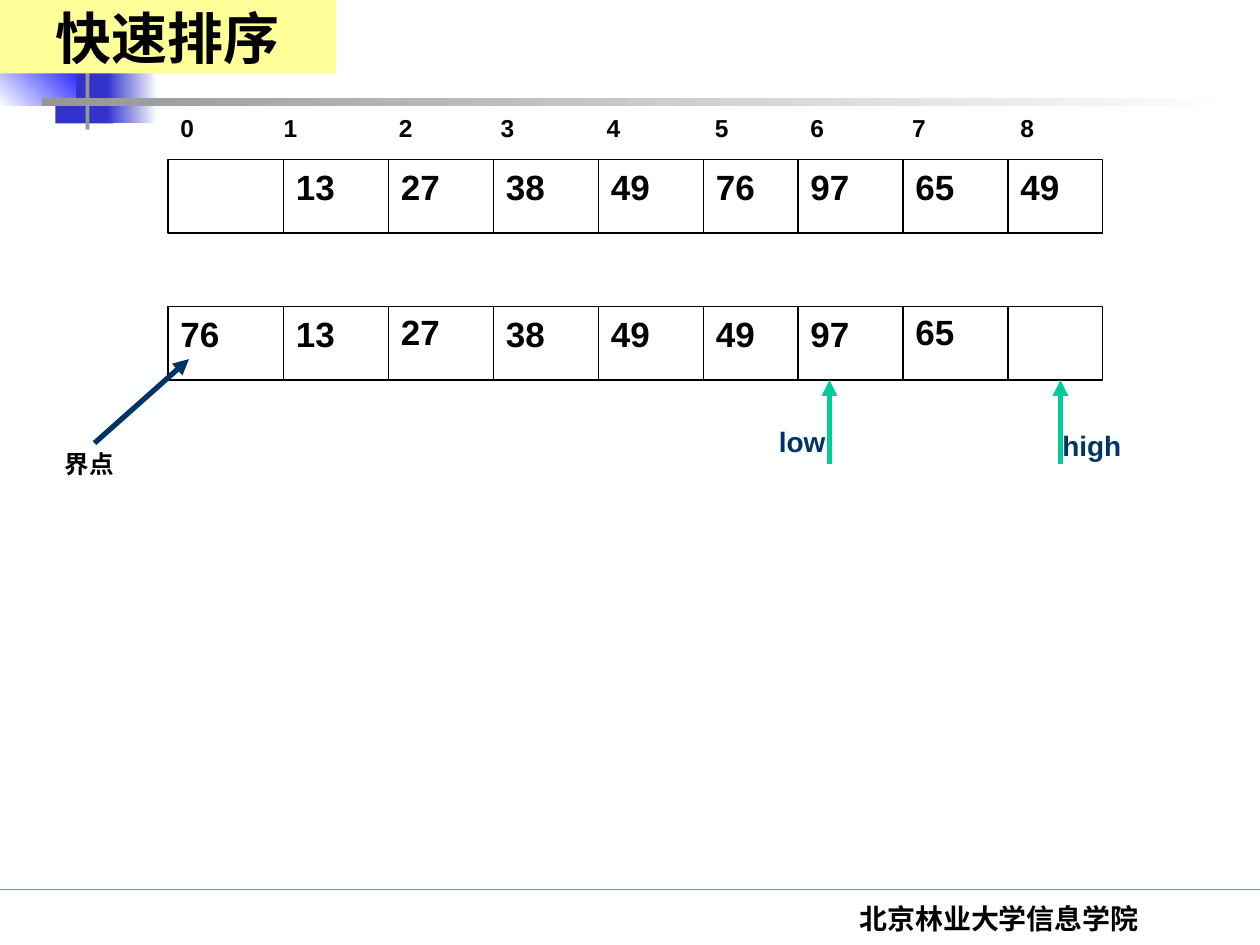
from dataclasses import dataclass
from itertools import pairwise
from typing import NamedTuple, Optional

from lxml.etree import SubElement
from pptx import Presentation
from pptx.dml.color import RGBColor
from pptx.enum.shapes import MSO_CONNECTOR as Connector, MSO_SHAPE as Preset
from pptx.enum.text import MSO_ANCHOR as Anchor, MSO_AUTO_SIZE as AutoSize, PP_ALIGN as Align
from pptx.oxml.ns import qn
from pptx.util import Inches, Pt

# The slide is a grid of 120 columns by 90 rows, twelve to the inch
COLUMNS, ROWS, PER_INCH = 120, 90, 12


@dataclass(frozen=True)
class Theme:
    paper: str = "FEFFFF"
    cell: str = "FFFFFF"
    ink: str = "000000"
    navy: str = "003366"
    indigo: str = "3333CC"
    blue: str = "0000FF"
    grey: str = "969696"
    green: str = "00CC99"
    yellow: str = "FFFF99"
    sans: str = "Arial"
    serif: str = "Times New Roman"
    title_size: int = 32
    key_size: int = 20
    label_size: int = 16
    index_size: int = 14
    thin: float = 0.75
    thick: float = 3


class Box(NamedTuple):
    left: float
    top: float
    width: float
    height: float


class Block(NamedTuple):
    box: Box
    color: str
    fade_to: Optional[str] = None
    angle: float = 0


class KeyRow(NamedTuple):
    top: float
    keys: list
    raised: tuple = ()  # columns whose key sits slightly higher


class Pointer(NamedTuple):
    name: str
    column: float
    label: Box


THEME = Theme()


def grid(*units: float) -> list:
    return [Inches(unit / PER_INCH) for unit in units]


def rgb(color: str) -> RGBColor:
    return RGBColor.from_string(color)


def write(frame, text: str, *, size: float, color: str = THEME.ink, font: str = THEME.sans,
          align=Align.LEFT, anchor=Anchor.TOP, fit=AutoSize.NONE, tabs: tuple = ()) -> None:
    frame.word_wrap = True
    frame.auto_size = fit
    frame.vertical_anchor = anchor
    frame.margin_left = frame.margin_right = Inches(0.1)
    frame.margin_top = frame.margin_bottom = Inches(0.05)
    paragraph = frame.paragraphs[0]
    paragraph.alignment = align
    if tabs:
        stops = SubElement(paragraph._p.get_or_add_pPr(), qn("a:tabLst"))
        for stop in grid(*tabs):
            SubElement(stops, qn("a:tab"), pos=str(stop), algn="l")
    run = paragraph.add_run()
    run.text = text
    run.font.name, run.font.size, run.font.bold = font, Pt(size), True
    run.font.color.rgb = rgb(color)


def add_text(slide, box: Box, text: str, **style) -> None:
    write(slide.shapes.add_textbox(*grid(*box)).text_frame, text, **style)


def add_block(slide, block: Block, outline: Optional[str] = None) -> None:
    shape = slide.shapes.add_shape(Preset.RECTANGLE, *grid(*block.box))
    shape.shadow.inherit = False
    if block.fade_to:
        shape.fill.gradient()
        shape.fill.gradient_angle = block.angle
        for stop, color in zip(shape.fill.gradient_stops, (block.color, block.fade_to)):
            stop.color.rgb = rgb(color)
    else:
        shape.fill.solid()
        shape.fill.fore_color.rgb = rgb(block.color)
    if outline:
        shape.line.color.rgb = rgb(outline)
        shape.line.width = Pt(THEME.thin)
    else:
        shape.line.fill.background()


def add_line(slide, start: tuple, end: tuple, color: str,
             width: float = THEME.thin, arrow: bool = False) -> None:
    line = slide.shapes.add_connector(Connector.STRAIGHT, *grid(*start, *end))
    line.line.color.rgb = rgb(color)
    line.line.width = Pt(width)
    if arrow:
        SubElement(line.line._get_or_add_ln(), qn("a:tailEnd"), type="triangle")
    SubElement(line._element.spPr, qn("a:effectLst"))


# Array geometry: cell edges, cell height and the two states of the array
EDGES = [16, 27, 37, 47, 57, 67, 76, 86, 96, 105]
CELL_HEIGHT = 7
KEY_ROWS = [
    KeyRow(15.2, ["", "13", "27", "38", "49", "76", "97", "65", "49"]),
    KeyRow(29.2, ["76", "13", "27", "38", "49", "49", "97", "65", ""], raised=(2, 7)),
]
INDEX_TABS = (9.84, 20.8, 30.5, 40.6, 50.9, 60, 69.7, 80)
POINTERS = [
    Pointer("high", 101, Box(100, 40.2, 11, 4.44)),
    Pointer("low", 79, Box(73, 39.8, 11, 4.44)),
]
ORNAMENT = [
    Block(Box(3.72, 0, 5.76, 6.24), THEME.navy),
    Block(Box(8.64, 0, 4.32, 6.24), THEME.navy, THEME.paper),
    Block(Box(5.28, 5.52, 5.52, 6.24), THEME.indigo),
    Block(Box(10.2, 5.52, 4.8, 6.24), THEME.indigo, THEME.paper),
    Block(Box(-0.12, 4.56, 7.32, 5.52), THEME.paper, THEME.blue, 45),
    Block(Box(8.16, -1.44, 0.36, 13.8), THEME.grey),
    Block(Box(3.96, 9.36, 114.12, 0.72), THEME.grey, THEME.paper),
]


def add_key_row(slide, row: KeyRow) -> None:
    frame = Box(EDGES[0], row.top, EDGES[-1] - EDGES[0], CELL_HEIGHT)
    add_block(slide, Block(frame, THEME.cell), outline=THEME.ink)
    for edge in EDGES[1:-1]:
        add_line(slide, (edge, row.top), (edge, row.top + CELL_HEIGHT), THEME.ink)
    for column, (key, (left, _)) in enumerate(zip(row.keys, pairwise(EDGES))):
        if key:
            top = row.top - (0.25 if column in row.raised else 0)
            add_text(slide, Box(left, top, 8, 5.28), key,
                     size=THEME.key_size, fit=AutoSize.SHAPE_TO_FIT_TEXT)


def add_pointer(slide, pointer: Pointer) -> None:
    tip = KEY_ROWS[-1].top + CELL_HEIGHT
    add_line(slide, (pointer.column, tip + 8), (pointer.column, tip),
             THEME.green, THEME.thick, arrow=True)
    add_text(slide, pointer.label, pointer.name, size=THEME.label_size,
             color=THEME.navy, fit=AutoSize.SHAPE_TO_FIT_TEXT)


def place_title(slide, text: str) -> None:
    title = slide.shapes.title
    title.left, title.top, title.width, title.height = grid(0, 0, 32, 7)
    title.fill.solid()
    title.fill.fore_color.rgb = rgb(THEME.yellow)
    write(title.text_frame, text, size=THEME.title_size, font=THEME.serif,
          align=Align.CENTER, anchor=Anchor.MIDDLE)
    title._element.getparent().append(title._element)  # in front of the ornament


def main() -> None:
    deck = Presentation()
    deck.slide_width, deck.slide_height = grid(COLUMNS, ROWS)
    slide = deck.slides.add_slide(deck.slide_layouts[5])
    slide.background.fill.solid()
    slide.background.fill.fore_color.rgb = rgb(THEME.paper)

    # Ornament and footer
    add_line(slide, (0, 84.7), (COLUMNS, 84.7), THEME.green)
    for block in ORNAMENT:
        add_block(slide, block)
    add_text(slide, Box(70.32, 85.32, 49.68, 6), "北京林业大学信息学院",
             size=THEME.label_size, font=THEME.serif, align=Align.CENTER)

    # Array states under their indices
    for row in KEY_ROWS:
        add_key_row(slide, row)
    add_text(slide, Box(EDGES[0], 10.2, EDGES[-1] - EDGES[0], 4.08),
             "\t".join(str(index) for index in range(len(EDGES) - 1)),
             size=THEME.index_size, tabs=INDEX_TABS, fit=AutoSize.SHAPE_TO_FIT_TEXT)

    # Scan pointers and pivot
    for pointer in POINTERS:
        add_pointer(slide, pointer)
    add_text(slide, Box(5, 42.2, 10, 4.08), "界点",
             size=THEME.index_size, fit=AutoSize.SHAPE_TO_FIT_TEXT)
    add_line(slide, (9, 42.2), (18, 34.2), THEME.navy, THEME.thick, arrow=True)

    place_title(slide, "快速排序")
    deck.save("out.pptx")


if __name__ == "__main__":
    main()
